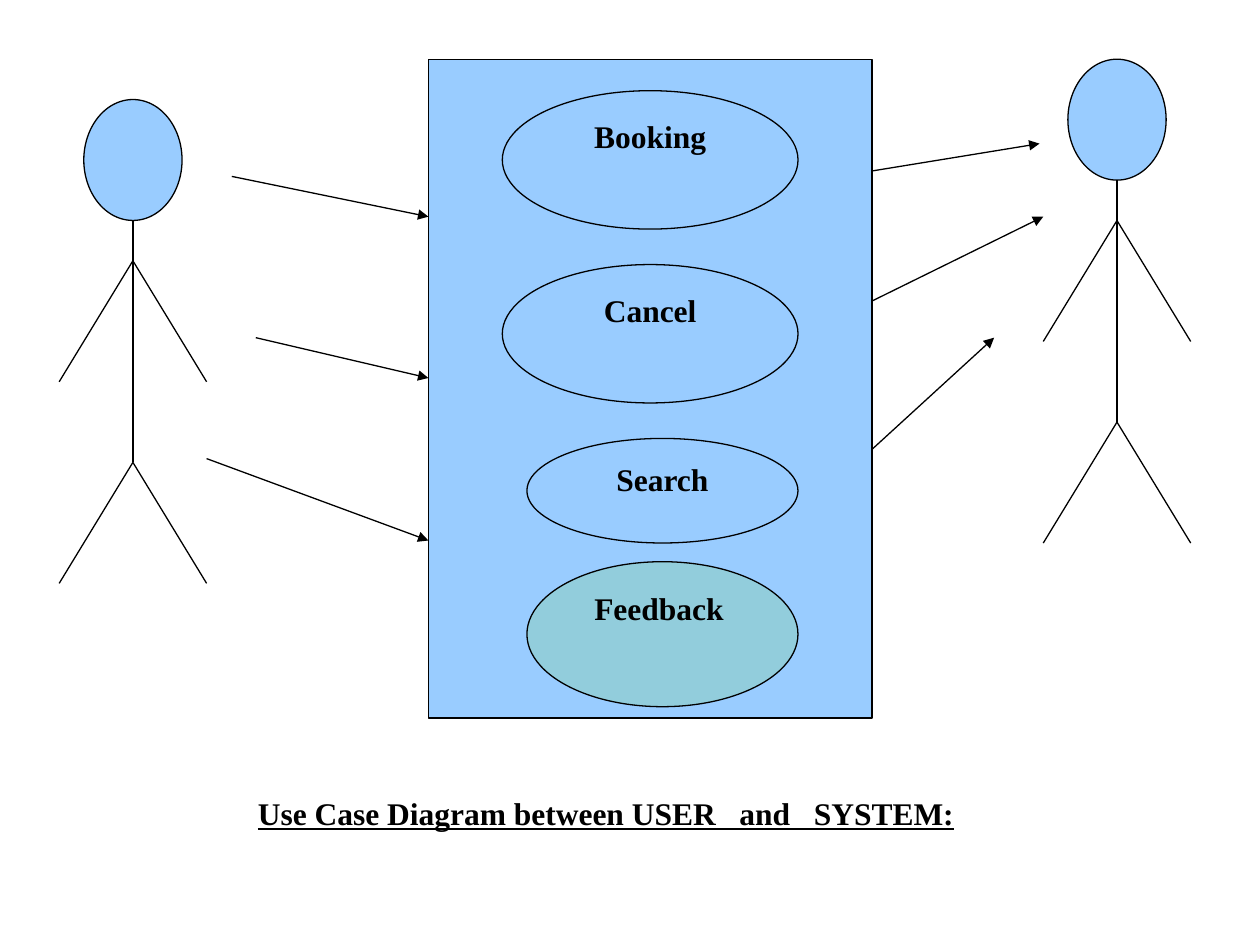
from collections import namedtuple

from lxml import etree
from pptx import Presentation
from pptx import util as u
from pptx.dml.color import RGBColor
from pptx.enum import shapes, text
from pptx.oxml import ns

BLUE = RGBColor(0x99, 0xCC, 0xFF)
TEAL = RGBColor(0x92, 0xCD, 0xDC)
BLACK = RGBColor(0, 0, 0)
FONT = "Times New Roman"

# The slide is a grid of 100 columns by 75 rows
CELL = u.Inches(0.1)
Box = namedtuple("Box", "left top width height")

USER = Box(4.7, 7.9, 11.7, 38.4)
SYSTEM = Box(82.8, 4.7, 11.7, 38.4)
PANEL = Box(34, 4.7, 35.2, 52.3)
CAPTION = Box(5.5, 62.5, 85.2, 6.4)

USER_ARROWS = [((18.4, 14), (34, 17.2)),
               ((20.3, 26.8), (34, 30)),
               ((16.4, 36.4), (34, 42.9))]
SYSTEM_ARROWS = [((62.9, 14.6), (82.5, 11.4)),
                 ((63.3, 26.8), (82.8, 17.2)),
                 ((61.3, 42.9), (78.9, 26.8))]

# Label, left and width in panel columns, top and height in panel rows
PANEL_COLUMNS, PANEL_ROWS = 18, 60
USE_CASES = [("Booking", 3, 2.87, 12, 12.6),
             ("Cancel", 3, 18.7, 12, 12.6),
             ("Search", 4, 34.53, 11, 9.52)]
FEEDBACK = (4, 45.75, 11, 13.2)
FEEDBACK_LABEL = (5.67, 47.7, 8.13, 9.18)


def emu(*cells):
    return [round(cell * CELL) for cell in cells]


def within(box, columns, rows, left, top, width, height):
    """Box at grid positions inside another box."""
    column, row = box.width / columns, box.height / rows
    return Box(box.left + left * column, box.top + top * row,
               width * column, height * row)


def write(frame, words, align, underline=False):
    for name, value in dict(word_wrap=True, auto_size=text.MSO_AUTO_SIZE.NONE,
                            vertical_anchor=text.MSO_ANCHOR.TOP).items():
        setattr(frame, name, value)
    para = frame.paragraphs[0]
    para.alignment = align
    span = para.add_run()
    span.text = words
    for name, value in dict(name=FONT, size=u.Pt(18), bold=True,
                            underline=underline).items():
        setattr(span.font, name, value)
    span.font.color.rgb = BLACK
    return para


def add_outline(page, kind, box, fill):
    shape = page.shapes.add_shape(kind, *emu(*box))
    shape.shadow.inherit = False
    shape.fill.solid()
    shape.fill.fore_color.rgb = fill
    shape.line.color.rgb = BLACK
    shape.line.width = u.Pt(0.75)
    return shape


def add_line(page, start, end, arrow=False):
    line = page.shapes.add_connector(shapes.MSO_CONNECTOR.STRAIGHT,
                                     *emu(*start, *end))
    line.line.color.rgb = BLACK
    line.line.width = u.Pt(0.75)
    properties = line._element.spPr
    if arrow:
        etree.SubElement(line.line._get_or_add_ln(), ns.qn("a:tailEnd"),
                         type="triangle")
    etree.SubElement(properties, ns.qn("a:effectLst"))


def add_actor(page, box):
    """Stick figure on 6 columns and 12 rows."""
    head = within(box, 6, 12, 1, 0, 4, 3)
    add_outline(page, shapes.MSO_SHAPE.OVAL, head, BLUE)

    def point(column, row):
        return (box.left + box.width * column / 6,
                box.top + box.height * row / 12)

    add_line(page, point(3, 3), point(3, 9))
    for joint, tip in ((4, 7), (9, 12)):  # arms, then legs
        for side in (0, 6):
            add_line(page, point(3, joint), point(side, tip))


def add_panel(page, box):
    add_outline(page, shapes.MSO_SHAPE.RECTANGLE, box, BLUE)
    grid = (box, PANEL_COLUMNS, PANEL_ROWS)
    for label, *place in USE_CASES:
        oval = add_outline(page, shapes.MSO_SHAPE.OVAL,
                           within(*grid, *place), BLUE)
        write(oval.text_frame, label, text.PP_ALIGN.CENTER)
    # Feedback carries its label in a separate text box
    add_outline(page, shapes.MSO_SHAPE.OVAL, within(*grid, *FEEDBACK), TEAL)
    label = page.shapes.add_textbox(*emu(*within(*grid, *FEEDBACK_LABEL)))
    para = write(label.text_frame, "Feedback", text.PP_ALIGN.LEFT)
    para._p.get_or_add_pPr().set("marL", str(u.Inches(0.11)))


def add_caption(page, box):
    title = page.shapes.title
    for name, value in zip(Box._fields, emu(*box)):
        setattr(title, name, value)
    write(title.text_frame, "Use Case Diagram between USER   and   SYSTEM:",
          text.PP_ALIGN.CENTER, underline=True)


def main():
    deck = Presentation()
    deck.slide_width, deck.slide_height = emu(100, 75)
    page = deck.slides.add_slide(deck.slide_layouts.get_by_name("Title Only"))
    for actor in (USER, SYSTEM):
        add_actor(page, actor)
    # Arrows lie behind the panel
    for start, end in USER_ARROWS + SYSTEM_ARROWS:
        add_line(page, start, end, arrow=True)
    add_panel(page, PANEL)
    add_caption(page, CAPTION)
    deck.save("out.pptx")


if __name__ == "__main__":
    main()
